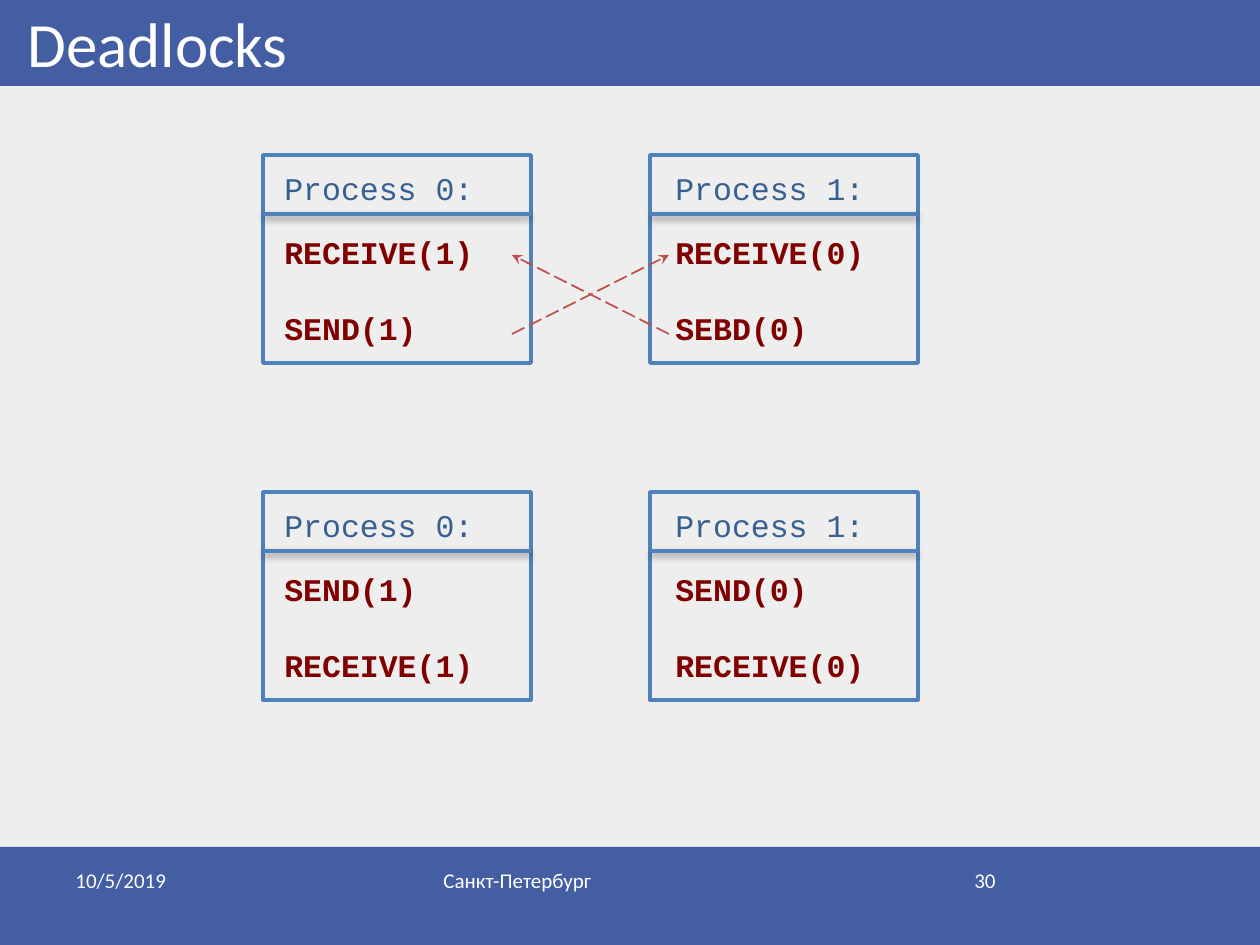
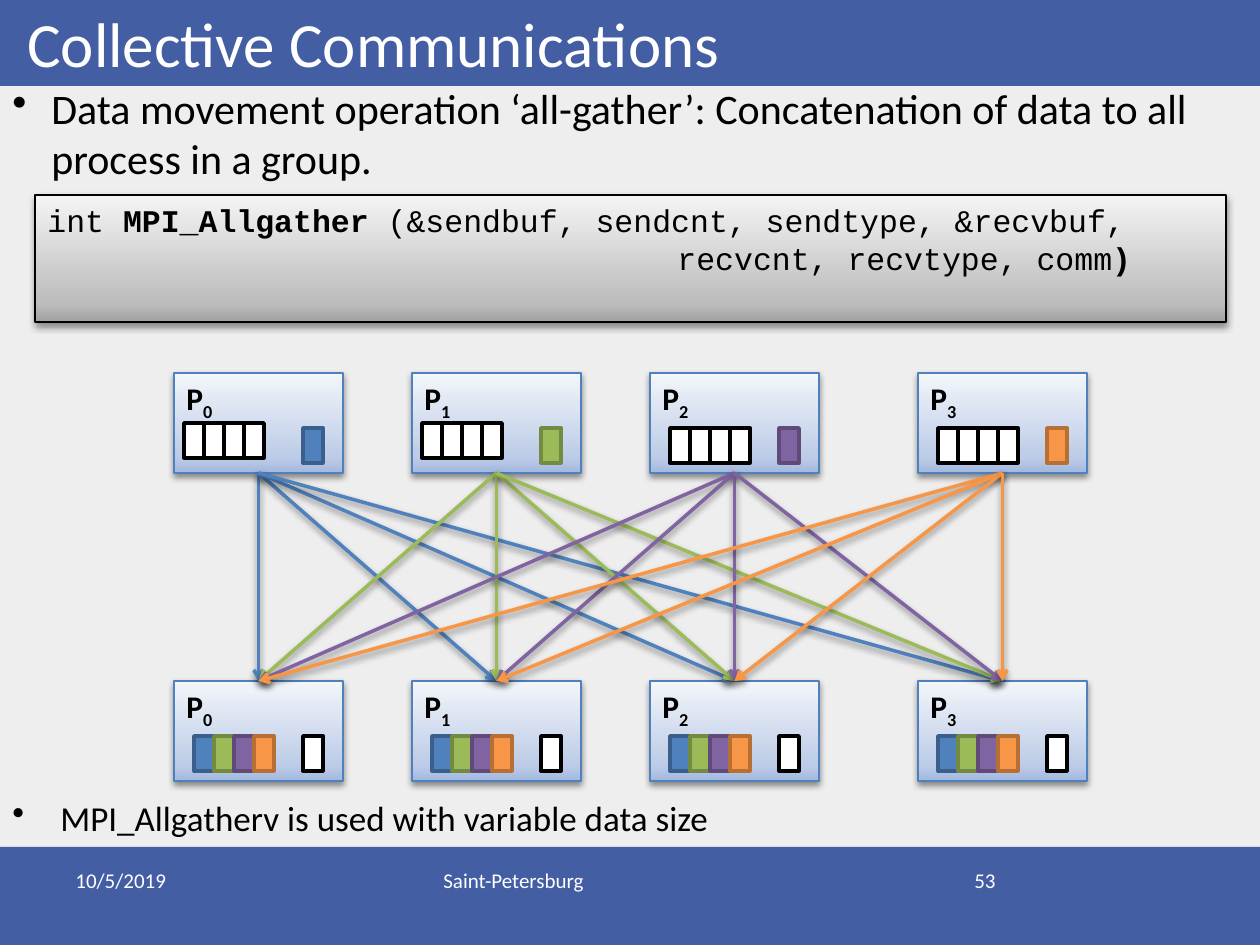
from lxml import etree
from pptx import Presentation
from pptx.dml.color import RGBColor
from pptx.enum.dml import MSO_LINE
from pptx.enum.shapes import MSO_CONNECTOR, MSO_SHAPE
from pptx.enum.text import MSO_ANCHOR, PP_ALIGN
from pptx.oxml.ns import qn
from pptx.util import Pt

RECT = MSO_SHAPE.RECTANGLE
STRAIGHT = MSO_CONNECTOR.STRAIGHT
DASHED = MSO_LINE.LONG_DASH
TOP, BOTTOM = MSO_ANCHOR.TOP, MSO_ANCHOR.BOTTOM
LEFT, RIGHT = PP_ALIGN.LEFT, PP_ALIGN.RIGHT

EMU_PER_PX = 914400 / 126
W, H = 1260, 945
SANS, MONO = "Calibri", "Courier New"

COLORS = {
    "page": "EEEEEE", "band": "445EA4", "white": "FFFFFF", "black": "000000",
    "frame": "4F81BD", "process": "376092", "call": "800000", "cross": "C0504D",
    "blue": "4F81BD", "blue_edge": "3A5F8C",
    "green": "9BBB59", "green_edge": "738A42",
    "purple": "8064A2", "purple_edge": "5F4A78",
    "orange": "F79646", "orange_edge": "B76F34",
}
DATA = ["blue", "green", "purple", "orange"]
# Gradient stops run from the bottom edge to the top edge
GRAY_GRADIENT = [(0, "A2A2A2"), (15, "BDBDBD"), (100, "F4F4F4")]
BLUE_GRADIENT = [(0, "A3B8DF"), (15, "BCCBE7"), (100, "F3F6FA")]


def px(n):
    return round(n * EMU_PER_PX)


def rgb(name):
    return RGBColor.from_string(COLORS[name])


def child(parent, tag, **attrs):
    el = etree.SubElement(parent, qn(tag))
    for key, value in attrs.items():
        el.set(key, str(value))
    return el


# Shapes and lines

def add_shadow(effects):
    shadow = child(effects, "a:outerShdw", blurRad=Pt(4), dist=Pt(2),
                   dir=5400000, algn="ctr", rotWithShape=0)
    color = child(shadow, "a:srgbClr", val=COLORS["black"])
    child(color, "a:alpha", val=43000)


def add_rect(slide, x, y, w, h, fill=None, line=None, width=2):
    sp = slide.shapes.add_shape(RECT, px(x), px(y), px(w), px(h))
    sp.shadow.inherit = False
    if fill:
        sp.fill.solid()
        sp.fill.fore_color.rgb = rgb(fill)
    else:
        sp.fill.background()
    if line:
        sp.line.color.rgb = rgb(line)
        sp.line.width = Pt(width)
    else:
        sp.line.fill.background()
    return sp


def add_gradient_rect(slide, x, y, w, h, stops, line):
    sp = add_rect(slide, x, y, w, h, line=line, width=1)
    sp.fill.gradient()
    sp.fill.gradient_angle = 90
    sp_pr = sp._element.spPr
    stop_list = sp_pr.find(".//" + qn("a:gsLst"))
    stop_list.clear()
    for pos, color in stops:
        child(child(stop_list, "a:gs", pos=pos * 1000), "a:srgbClr", val=color)
    add_shadow(sp_pr.find(qn("a:effectLst")))
    return sp


def add_line(slide, start, end, color, width=2, head=None, dash=None, shadow=True):
    cx = slide.shapes.add_connector(STRAIGHT, *map(px, start + end))
    cx.line.color.rgb = rgb(color)
    cx.line.width = Pt(width)
    if dash:
        cx.line.dash_style = dash
    sp_pr = cx._element.spPr
    if head:
        child(sp_pr.find(qn("a:ln")), "a:tailEnd", type=head)
    effects = child(sp_pr, "a:effectLst")
    if shadow:
        add_shadow(effects)
    return cx


# Text

def set_font(p, size, color, name=SANS, bold=False):
    p.font.size = Pt(size)
    p.font.name = name
    p.font.bold = bold
    p.font.color.rgb = rgb(color)


def add_text(slide, x, y, w, h, lines, size, color, name=SANS, bold=False,
             wrap=True, anchor=TOP, align=LEFT, gap=0):
    tf = slide.shapes.add_textbox(px(x), px(y), px(w), px(h)).text_frame
    tf.word_wrap = wrap
    tf.vertical_anchor = anchor
    for i, line in enumerate(lines):
        p = tf.paragraphs[0] if i == 0 else tf.add_paragraph()
        p.text = line
        p.alignment = align
        if i and gap:
            p.space_before = Pt(gap)
        set_font(p, size, color, name, bold)
    return tf


def add_bullet(slide, y, h, text, size, indent):
    tf = add_text(slide, 0, y, W, h, [], size, "black")
    p = tf.paragraphs[0]
    p.text = text
    p_pr = p._p.get_or_add_pPr()
    p_pr.set("marL", str(px(indent)))
    p_pr.set("indent", str(-px(indent)))
    child(p_pr, "a:buChar", char="•")
    set_font(p, size, "black")


# Shared slide frame

def add_slide(prs, title, city, number):
    slide = prs.slides.add_slide(prs.slide_layouts[6])
    slide.background.fill.solid()
    slide.background.fill.fore_color.rgb = rgb("page")
    add_rect(slide, 0, 847, W, 98, "band")
    add_rect(slide, 0, 0, W, 86, "band")
    add_text(slide, 15, -26, 1134, 112, [title], 36, "white", anchor=BOTTOM)
    for x, w, text, align in [(63, 294, "10/5/2019", LEFT), (431, 399, city, LEFT),
                              (903, 105, number, RIGHT)]:
        add_text(slide, x, 861, w, 66, [text], 12, "white", align=align)
    return slide


# Deadlocks

def add_process(slide, x, y, inset, name, calls):
    add_rect(slide, x, y, 268, 208, line="frame")
    add_text(slide, x + inset, y + 8, 217, 50, [name], 18, "process", MONO, wrap=False)
    add_text(slide, x + inset, y + 72, 217, 127, calls, 18, "call", MONO,
             bold=True, wrap=False, gap=22)
    add_line(slide, (x, y + 59), (x + 268, y + 59), "frame")


def build_deadlocks(prs):
    slide = add_slide(prs, "Deadlocks", "Санкт-Петербург", "30")
    rows = [(155, ["RECEIVE(1)", "SEND(1)"], ["RECEIVE(0)", "SEBD(0)"]),
            (492, ["SEND(1)", "RECEIVE(1)"], ["SEND(0)", "RECEIVE(0)"])]
    for y, calls_0, calls_1 in rows:
        add_process(slide, 263, y, 9, "Process 0:", calls_0)
        add_process(slide, 650, y, 13, "Process 1:", calls_1)
    for x1, x2 in [(669, 512), (512, 669)]:
        add_line(slide, (x1, 334), (x2, 255), "cross", 1, "stealth", DASHED, shadow=False)


# Collective communications

def add_signature(slide):
    sp = add_gradient_rect(slide, 35, 195, 1191, 127, GRAY_GRADIENT, "black")
    tf = sp.text_frame
    tf.word_wrap = True
    tf.vertical_anchor = TOP
    lines = [
        (0, [("int ", False), ("MPI_Allgather ", True),
             ("(&sendbuf, sendcnt, sendtype, &recvbuf,", False)]),
        (630, [("recvcnt, recvtype, comm", False), (")", True)]),
    ]
    for i, (margin, runs) in enumerate(lines):
        p = tf.paragraphs[0] if i == 0 else tf.add_paragraph()
        p.alignment = LEFT
        p._p.get_or_add_pPr().set("marL", str(px(margin)))
        set_font(p, 18, "black", MONO)
        for text, bold in runs:
            r = p.add_run()
            r.text = text
            r.font.bold = bold


def add_cell(slide, x, y, color):
    edge = "black" if color == "white" else color + "_edge"
    add_rect(slide, x, y, 20, 35, color, edge)


def add_node(slide, x, y, rank, slots, single, slot_offset=(20, 55)):
    box = add_gradient_rect(slide, x, y, 169, 100, BLUE_GRADIENT, "frame")
    p = add_text(slide, x, y, 56, 50, ["P"], 18, "black", bold=True, wrap=False).paragraphs[0]
    r = p.add_run()
    r.text = str(rank)
    r.font._element.set("baseline", "-25000")
    dx, dy = slot_offset
    for i, color in enumerate(slots):
        add_cell(slide, x + dx + 20 * i, y + dy, color)
    add_cell(slide, x + 129, y + 55, single)
    return box


def build_collective(prs):
    slide = add_slide(prs, "Collective Communications", "Saint-Petersburg", "53")
    add_signature(slide)
    add_bullet(slide, 76, 115, "Data movement operation ‘all-gather’: Concatenation of "
               "data to all process in a group.", 24, 39)

    # Each process before and after the exchange
    senders, receivers = [], []
    for rank, (x, color) in enumerate(zip([174, 412, 650, 918], DATA)):
        offset = (10, 50) if rank < 2 else (20, 55)
        senders.append(add_node(slide, x, 373, rank, ["white"] * 4, color, offset))
        receivers.append(add_node(slide, x, 681, rank, DATA, "white"))

    # Every process sends to every process
    for sender, color in zip(senders, DATA):
        for receiver in receivers:
            cx = add_line(slide, (0, 0), (0, 0), color, head="arrow")
            cx.begin_connect(sender, 2)
            cx.end_connect(receiver, 0)

    add_bullet(slide, 790, 55, "MPI_Allgatherv is used with variable data size", 20, 48)


def main():
    prs = Presentation()
    prs.slide_width, prs.slide_height = px(W), px(H)
    build_deadlocks(prs)
    build_collective(prs)
    prs.save("out.pptx")


if __name__ == "__main__":
    main()
